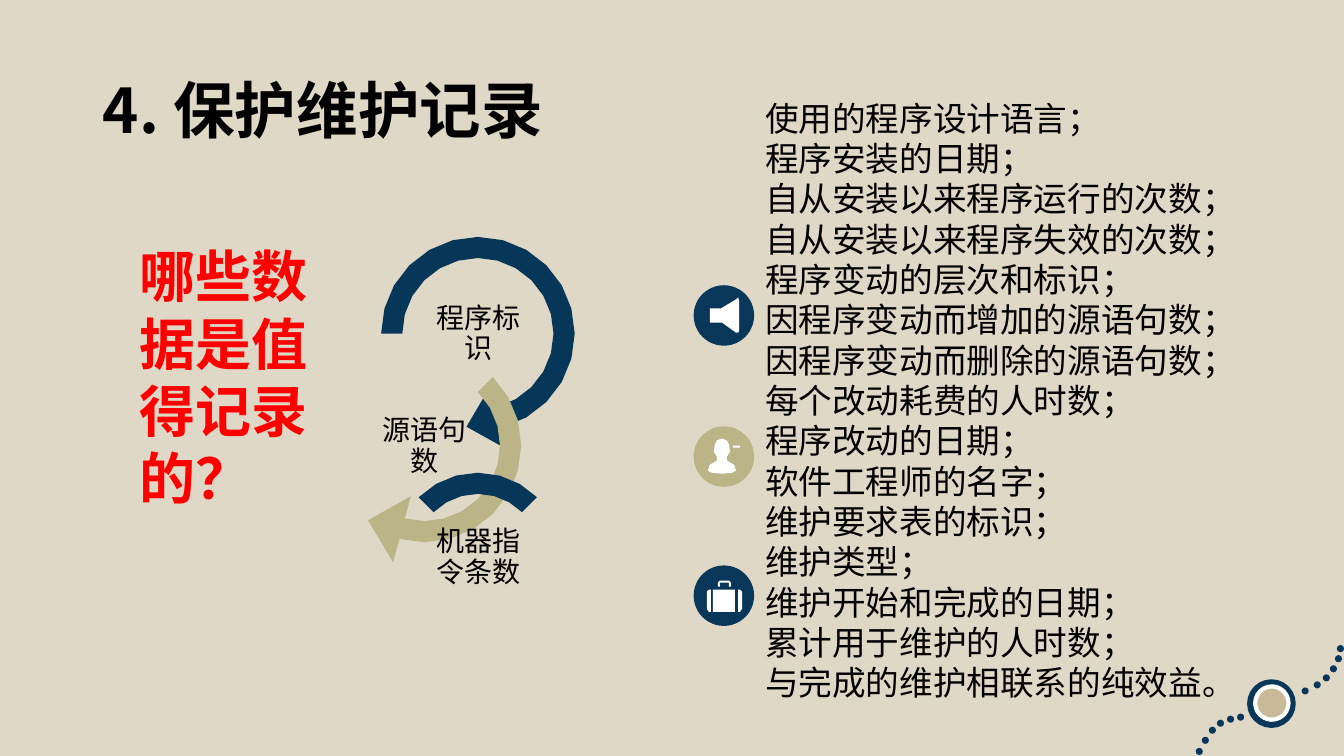
import math
from dataclasses import dataclass

import pptx
import pptx.dml.color
import pptx.enum.shapes
import pptx.enum.text
import pptx.oxml.ns
import pptx.util
from pptx.util import Inches

ALIGN = pptx.enum.text.PP_ALIGN
ANCHOR = pptx.enum.text.MSO_ANCHOR
OVAL = pptx.enum.shapes.MSO_SHAPE.OVAL
RECTANGLE = pptx.enum.shapes.MSO_SHAPE.RECTANGLE


@dataclass(frozen=True)
class Theme:
    background: str = "E0D8C6"
    navy: str = "093759"
    arrow_navy: str = "063759"
    olive: str = "BBB487"
    sand: str = "C8B998"
    white: str = "FFFFFF"
    black: str = "000000"
    red: str = "FF0000"
    title_size: int = 44
    question_size: int = 40
    list_size: int = 24
    label_size: int = 20
    heading_font: str = "Noto Sans CJK SC"
    title_font: str = "Calibri"
    body_font: str = "Arial"


THEME = Theme()

RECORD_ITEMS = [
    "使用的程序设计语言；",
    "程序安装的日期；",
    "自从安装以来程序运行的次数；自从安装以来程序失效的次数；程序变动的层次和标识；",
    "因程序变动而增加的源语句数；因程序变动而删除的源语句数；每个改动耗费的人时数；",
    "程序改动的日期；",
    "软件工程师的名字；",
    "维护要求表的标识；",
    "维护类型；",
    "维护开始和完成的日期；",
    "累计用于维护的人时数；",
    "与完成的维护相联系的纯效益。",
]

TRAIL_DOTS = [
    (11.86, 7.42), (11.92, 7.31), (11.99, 7.21), (12.07, 7.14), (12.17, 7.1), (12.27, 7.08),
    (12.91, 6.82), (13.03, 6.76), (13.12, 6.69), (13.19, 6.6), (13.24, 6.5), (13.26, 6.4),
]

MEGAPHONE = [(7.04, 3.06), (7.15, 3.06), (7.3, 2.97), (7.32, 2.95), (7.33, 2.98),
             (7.33, 3.28), (7.32, 3.3), (7.3, 3.3), (7.16, 3.2), (7.04, 3.2)]

# Right half of the person, as offsets from the centre line
PERSON_CENTER = 7.16
PERSON_HALF = [(0, 4.35), (0.05, 4.37), (0.07, 4.41), (0.08, 4.48), (0.05, 4.53),
               (0.05, 4.57), (0.12, 4.61), (0.14, 4.67), (0.1, 4.69), (0, 4.7)]

SUITCASE_BODY = [(7.07, 5.85), (7.29, 5.85), (7.29, 6.07), (7.07, 6.07)]
SUITCASE_HANDLE = [(7.12, 5.82), (7.12, 5.78), (7.14, 5.76), (7.23, 5.76), (7.25, 5.78),
                   (7.25, 5.82), (7.23, 5.82), (7.23, 5.78), (7.14, 5.78), (7.14, 5.82)]
SUITCASE_LEFT = [(7.05, 5.85), (7.03, 5.85), (7.01, 5.87), (7.01, 6.04), (7.03, 6.07), (7.05, 6.07)]
SUITCASE_RIGHT = [(14.37 - x, y) for x, y in SUITCASE_LEFT]


def rgb(value):
    return pptx.dml.color.RGBColor.from_string(value)


def paint(shape, fill=None, line=None, width=0):
    shape.shadow.inherit = False
    if fill:
        shape.fill.solid()
        shape.fill.fore_color.rgb = rgb(fill)
    else:
        shape.fill.background()
    if line:
        shape.line.color.rgb = rgb(line)
        shape.line.width = pptx.util.Pt(width)
    else:
        shape.line.fill.background()


def add_preset(parent, kind, left, top, width, height, fill, line=None, line_width=0):
    shape = parent.shapes.add_shape(kind, Inches(left), Inches(top), Inches(width), Inches(height))
    paint(shape, fill, line, line_width)


def add_outline(parent, contours, fill=None, extent=()):
    """Draw closed contours; the extent points only widen the frame."""
    contours = [[(Inches(x), Inches(y)) for x, y in points] for points in contours]
    builder = parent.shapes.build_freeform(*contours[0][0], scale=1.0)
    for index, points in enumerate(contours):
        if index:
            builder.move_to(*points[0])
        builder.add_line_segments(points[1:], close=True)
    for x, y in extent:
        builder.move_to(Inches(x), Inches(y))
    shape = builder.convert_to_shape()
    paint(shape, fill)
    return shape


def add_arc(parent, center, radius, start, end, fill, arrow=True):
    """Draw a ring segment, clockwise in degrees, with an optional arrowhead."""
    def polar(distance, degrees):
        angle = math.radians(degrees)
        return center[0] + distance * math.cos(angle), center[1] + distance * math.sin(angle)

    angles = range(start, end + 1, 15)
    head = [polar(1.2, end), polar(0.93, end + 22), polar(0.52, end)] if arrow else []
    outer = [polar(radius, angle) for angle in angles]
    inner = [polar(radius - 0.21, angle) for angle in reversed(angles)]
    bottom = center[1] + radius
    extent = [] if arrow else [(center[0] - radius, bottom), (center[0] + radius, bottom)]
    add_outline(parent, [outer + head + inner], fill, extent)


def style_span(span, size, font, color, bold=False):
    span.font.size = pptx.util.Pt(size)
    span.font.name = font
    span.font.bold = bold
    span.font.color.rgb = rgb(color)
    east_asian = span.font._element.makeelement(
        pptx.oxml.ns.qn("a:ea"), {"typeface": THEME.heading_font})
    span.font._element.find(pptx.oxml.ns.qn("a:latin")).addnext(east_asian)


def write_lines(frame, lines, size, font, color, bold=False):
    frame.word_wrap = True
    frame.text = "\n".join(lines)
    for para in frame.paragraphs:
        for span in para.runs:
            style_span(span, size, font, color, bold)


def add_text(page, place, lines, size, font, color, bold=False):
    box = page.shapes.add_textbox(*[Inches(value) for value in place])
    write_lines(box.text_frame, lines, size, font, color, bold)


def add_label(parent, left, top, text):
    right, bottom = left + 1.07, top + 0.53
    label = add_outline(parent, [[(left, top), (right, top), (right, bottom), (left, bottom)]])
    frame = label.text_frame
    write_lines(frame, [text], THEME.label_size, THEME.body_font, THEME.black)
    frame.vertical_anchor = ANCHOR.MIDDLE
    frame.margin_left = frame.margin_right = Inches(0.01)
    frame.margin_top = frame.margin_bottom = Inches(0.01)
    para = frame.paragraphs[0]
    para.alignment = ALIGN.CENTER
    para.line_spacing = 0.9


def add_title(page):
    title = page.shapes.title
    title.left, title.top = Inches(0.92), Inches(0.4)
    title.width, title.height = Inches(11.5), Inches(1.45)
    frame = title.text_frame
    frame.auto_size = pptx.enum.text.MSO_AUTO_SIZE.NONE
    frame.vertical_anchor = ANCHOR.MIDDLE
    para = frame.paragraphs[0]
    para.alignment = ALIGN.LEFT
    para.line_spacing = 0.9
    for text, font in (("4. ", THEME.heading_font), ("保护维护记录", THEME.title_font)):
        span = para.add_run()
        span.text = text
        style_span(span, THEME.title_size, font, THEME.black, bold=True)


def add_ornament(page):
    ornament = page.shapes.add_group_shape()
    for left, top in TRAIL_DOTS:
        add_preset(ornament, OVAL, left, top, 0.07, 0.07, THEME.navy)
    add_preset(ornament, OVAL, 12.4, 6.77, 0.42, 0.42, THEME.white, THEME.navy, 4.5)
    add_preset(ornament, OVAL, 12.45, 6.81, 0.33, 0.33, THEME.sand, THEME.white, 3)


def add_arrow_chain(page):
    chain = page.shapes.add_group_shape()
    add_arc(chain, (4.74, 3.31), 0.96, 180, 435, THEME.arrow_navy)
    add_label(chain, 4.21, 3.05, "程序标识")
    add_arc(chain, (4.21, 4.42), 0.96, -45, 105, THEME.olive)
    add_label(chain, 3.68, 4.17, "源语句数")
    add_arc(chain, (4.74, 5.52), 0.83, -135, -45, THEME.arrow_navy, arrow=False)
    add_label(chain, 4.21, 5.27, "机器指令条数")


def add_symbols(page):
    add_outline(page, [MEGAPHONE], THEME.white)
    add_outline(page, [SUITCASE_RIGHT, SUITCASE_BODY, SUITCASE_LEFT, SUITCASE_HANDLE], THEME.white)
    # Person with a minus sign
    person = page.shapes.add_group_shape()
    right = [(PERSON_CENTER + x, y) for x, y in PERSON_HALF]
    left = [(PERSON_CENTER - x, y) for x, y in reversed(PERSON_HALF[1:-1])]
    add_outline(person, [right + left], THEME.white)
    add_preset(person, RECTANGLE, 7.27, 4.42, 0.07, 0.02, THEME.white)


def main():
    deck = pptx.Presentation()
    deck.slide_width, deck.slide_height = Inches(13.33), Inches(7.5)
    page = deck.slides.add_slide(deck.slide_layouts[5])
    page.background.fill.solid()
    page.background.fill.fore_color.rgb = rgb(THEME.background)

    add_ornament(page)
    add_title(page)
    add_arrow_chain(page)

    # Icons and list of records
    for top, fill in ((2.83, THEME.navy), (4.23, THEME.olive), (5.61, THEME.navy)):
        add_preset(page, OVAL, 6.88, top, 0.6, 0.6, fill)
    add_text(page, (7.49, 0.92, 4.78, 6.56), RECORD_ITEMS, THEME.list_size,
             THEME.body_font, THEME.black)
    add_symbols(page)

    # Question
    add_text(page, (1.29, 2.35, 1.96, 2.79), ["哪些数据是值得记录的？"], THEME.question_size,
             THEME.heading_font, THEME.red, bold=True)
    deck.save("out.pptx")


if __name__ == "__main__":
    main()
